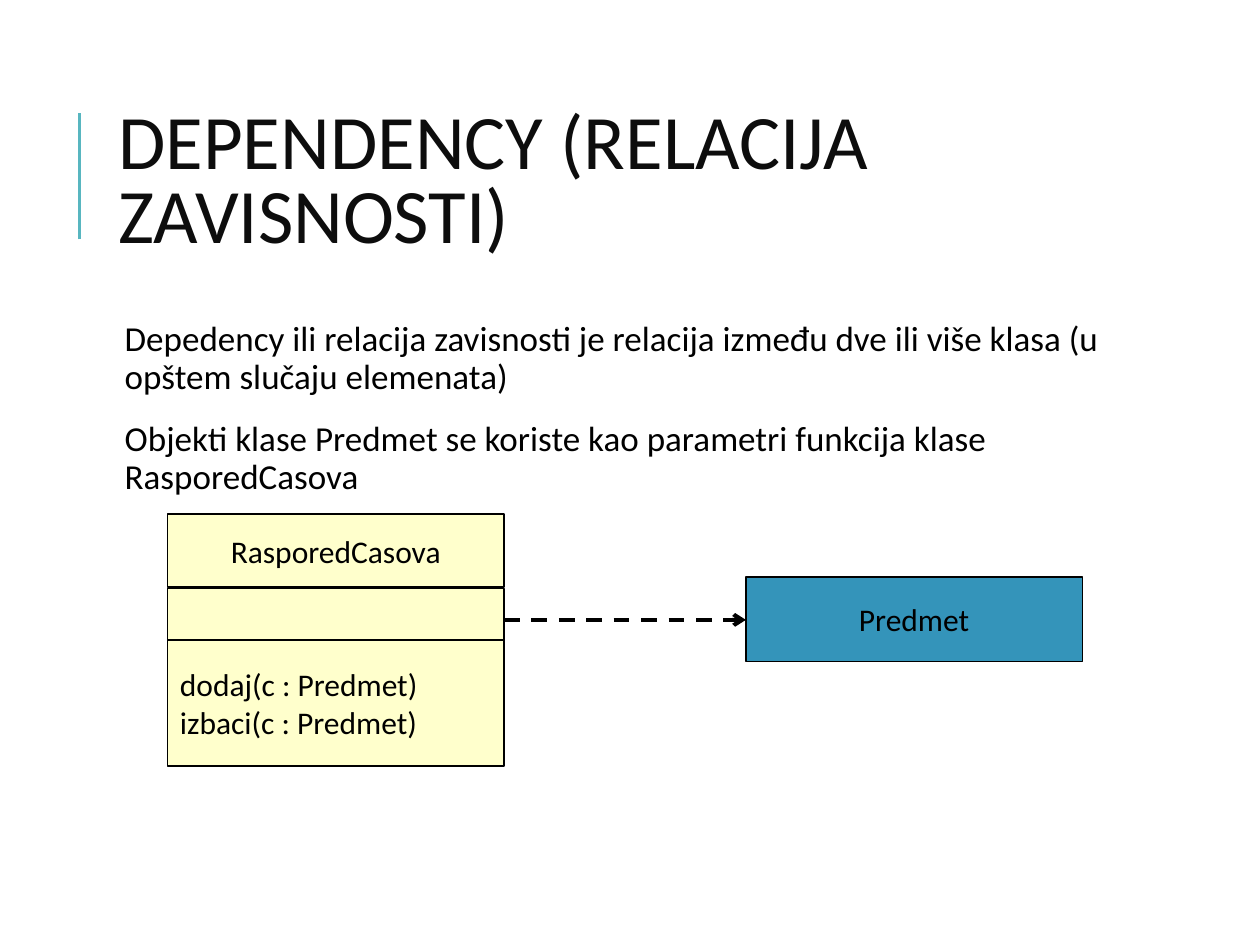
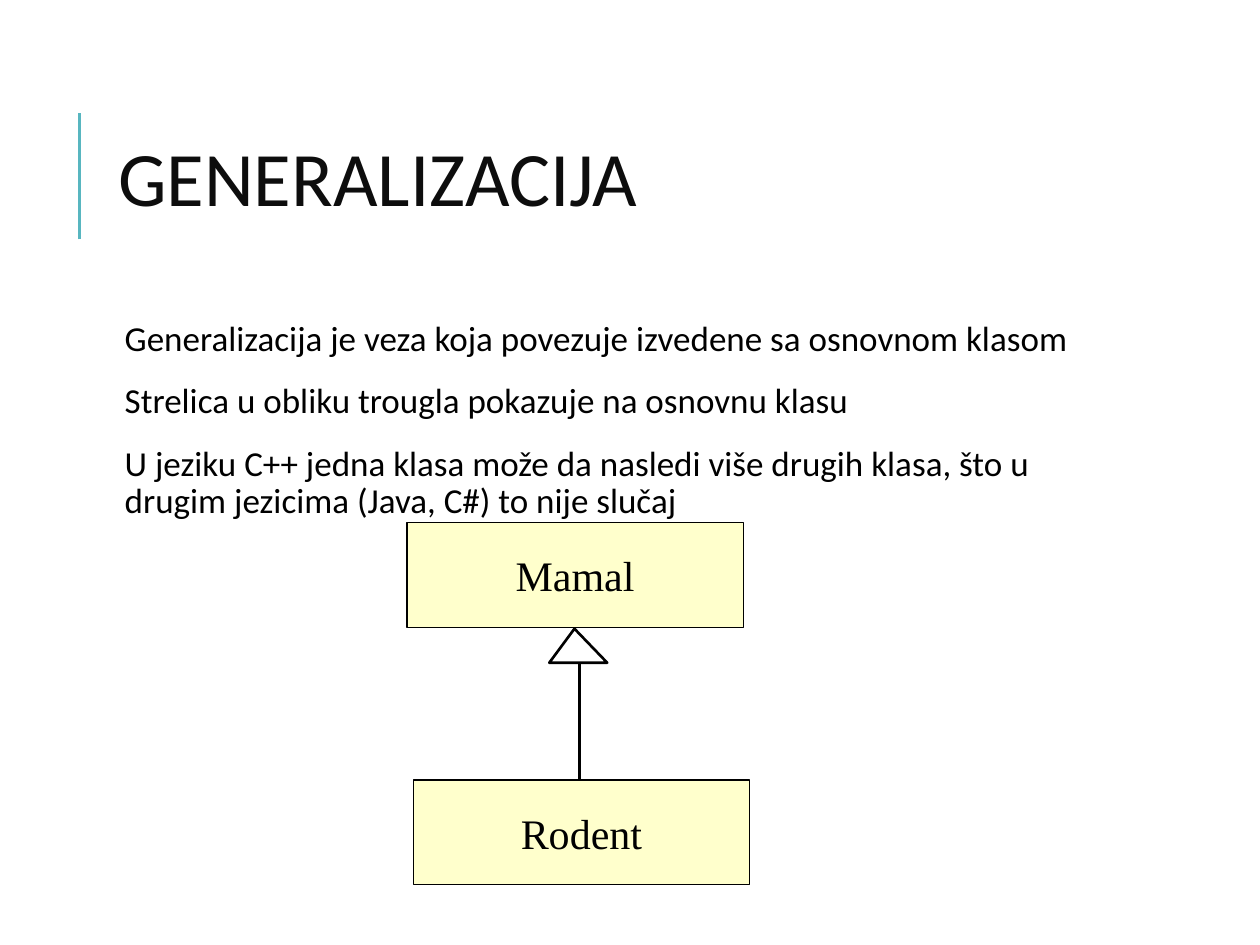
from dataclasses import dataclass

from lxml import etree
from pptx import Presentation
from pptx.dml.color import RGBColor
from pptx.enum.dml import MSO_LINE
from pptx.enum.shapes import MSO_CONNECTOR, MSO_SHAPE
from pptx.enum.text import MSO_ANCHOR, PP_ALIGN
from pptx.oxml.ns import qn
from pptx.util import Inches, Pt

RECT = MSO_SHAPE.RECTANGLE
STRAIGHT = MSO_CONNECTOR.STRAIGHT
DASH = MSO_LINE.DASH
MIDDLE, TOP = MSO_ANCHOR.MIDDLE, MSO_ANCHOR.TOP
LEFT, CENTER = PP_ALIGN.LEFT, PP_ALIGN.CENTER

COLORS = {
    "accent": "58B6C0",
    "title": "0D0D0D",
    "ink": "000000",
    "paper": "FFFFFF",
    "class": "FFFFCC",
    "used": "3494BA",
}
SANS, SERIF = "Calibri", "Times New Roman"
CLASS_W = 2.67
BODY_LEFT, BODY_W = 0.84, 7.97


@dataclass(frozen=True)
class ClassBox:
    x: float
    y: float
    h: float
    lines: tuple[str, ...] = ()
    fill: str = "class"
    font: str = SANS
    size: int = 18
    align: PP_ALIGN = CENTER


@dataclass(frozen=True)
class Line:
    x1: float
    y1: float
    x2: float
    y2: float
    color: str = "ink"
    width: float = 1.5
    dashed: bool = False
    arrow: bool = False


def rgb(name: str) -> RGBColor:
    return RGBColor.from_string(COLORS[name])


def write_text(tf, lines, *, size: int, font: str = SANS, color: str = "ink",
               align: PP_ALIGN = LEFT, anchor: MSO_ANCHOR = MIDDLE,
               spacing: float = 1.0, before: int = 0, after: int = 0,
               margins: tuple = (0.1, 0.05, 0.1, 0.05)) -> None:
    tf.word_wrap = True
    tf.vertical_anchor = anchor
    (tf.margin_left, tf.margin_top,
     tf.margin_right, tf.margin_bottom) = map(Inches, margins)
    for i, line in enumerate(lines):
        p = tf.add_paragraph() if i else tf.paragraphs[0]
        p.alignment = align
        p.line_spacing = spacing
        p.space_before = Pt(before if i else 0)
        p.space_after = Pt(after)
        r = p.add_run()
        r.text = line
        r.font.size, r.font.name = Pt(size), font
        r.font.color.rgb = rgb(color)


def paint(sp, fill: str, width: float) -> None:
    sp.shadow.inherit = False
    sp.fill.solid()
    sp.fill.fore_color.rgb = rgb(fill)
    sp.line.color.rgb = rgb("ink")
    sp.line.width = Pt(width)


def add_class(s, box: ClassBox) -> None:
    sp = s.shapes.add_shape(RECT, Inches(box.x), Inches(box.y),
                            Inches(CLASS_W), Inches(box.h))
    paint(sp, box.fill, 0.75)
    if box.lines:
        write_text(sp.text_frame, box.lines, size=box.size, font=box.font,
                   align=box.align)


def add_line(s, line: Line) -> None:
    cxn = s.shapes.add_connector(STRAIGHT, Inches(line.x1), Inches(line.y1),
                                 Inches(line.x2), Inches(line.y2))
    cxn.line.color.rgb = rgb(line.color)
    cxn.line.width = Pt(line.width)
    if line.dashed:
        cxn.line.dash_style = DASH
    if line.arrow:
        ln = cxn.line._get_or_add_ln()
        etree.SubElement(ln, qn("a:tailEnd"), type="arrow")
    etree.SubElement(cxn._element.spPr, qn("a:effectLst"))


def add_triangle(s, points: list) -> None:
    pts = [(Inches(x), Inches(y)) for x, y in points]
    builder = s.shapes.build_freeform(*pts[0])
    builder.add_line_segments(pts[1:], close=True)
    paint(builder.convert_to_shape(), "paper", 1.5)


def add_page(prs, title: str, body: list):
    s = prs.slides.add_slide(prs.slide_layouts[6])
    add_line(s, Line(0.63, 1.9, 0.63, 0.9, color="accent"))
    left, width = Inches(BODY_LEFT), Inches(BODY_W)
    tb = s.shapes.add_textbox(left, Inches(0.64), width, Inches(1.64))
    write_text(tb.text_frame, [title], size=44, color="title", spacing=0.8)
    tb = s.shapes.add_textbox(left, Inches(2.5), width, Inches(4.4))
    write_text(tb.text_frame, body, size=20, anchor=TOP, spacing=0.9,
               before=12, after=2, margins=(0.15, 0.05, 0.05, 0.05))
    return s


def build_dependency(prs) -> None:
    s = add_page(prs, "DEPENDENCY (RELACIJA ZAVISNOSTI)", [
        "Depedency ili relacija zavisnosti je relacija između dve ili više "
        "klasa (u opštem slučaju elemenata)",
        "Objekti klase Predmet se koriste kao parametri funkcija klase "
        "RasporedCasova",
    ])
    schedule_x, subject_x, link_y = 1.33, 5.92, 4.92
    methods = ("dodaj(c : Predmet)", "izbaci(c : Predmet)")
    for box in (
        ClassBox(schedule_x, 4.08, 0.58, ("RasporedCasova",)),
        ClassBox(schedule_x, 4.67, 0.42),
        ClassBox(schedule_x, 5.08, 1, methods, align=LEFT),
        ClassBox(subject_x, 4.58, 0.67, ("Predmet",), fill="used"),
    ):
        add_class(s, box)
    add_line(s, Line(schedule_x + CLASS_W, link_y, subject_x, link_y,
                     width=2.25, dashed=True, arrow=True))


def build_generalization(prs) -> None:
    s = add_page(prs, "GENERALIZACIJA", [
        "Generalizacija je veza koja povezuje izvedene sa osnovnom klasom",
        "Strelica u obliku trougla pokazuje na osnovnu klasu",
        "U jeziku C++ jedna klasa može da nasledi više drugih klasa, što u "
        "drugim jezicima (Java, C#) to nije slučaj",
    ])
    derived_y, base_of_tip = 6.19, 5.26
    for name, x, y in (("Mamal", 3.23, 4.15), ("Rodent", 3.28, derived_y)):
        add_class(s, ClassBox(x, y, 0.83, (name,), font=SERIF, size=24))
    add_line(s, Line(4.6, base_of_tip, 4.6, derived_y))
    add_triangle(s, [(4.56, 4.99), (4.36, base_of_tip), (4.82, base_of_tip)])


def main() -> None:
    prs = Presentation()
    prs.slide_width, prs.slide_height = Inches(10), Inches(7.5)
    build_dependency(prs)
    build_generalization(prs)
    prs.save("out.pptx")


if __name__ == "__main__":
    main()
